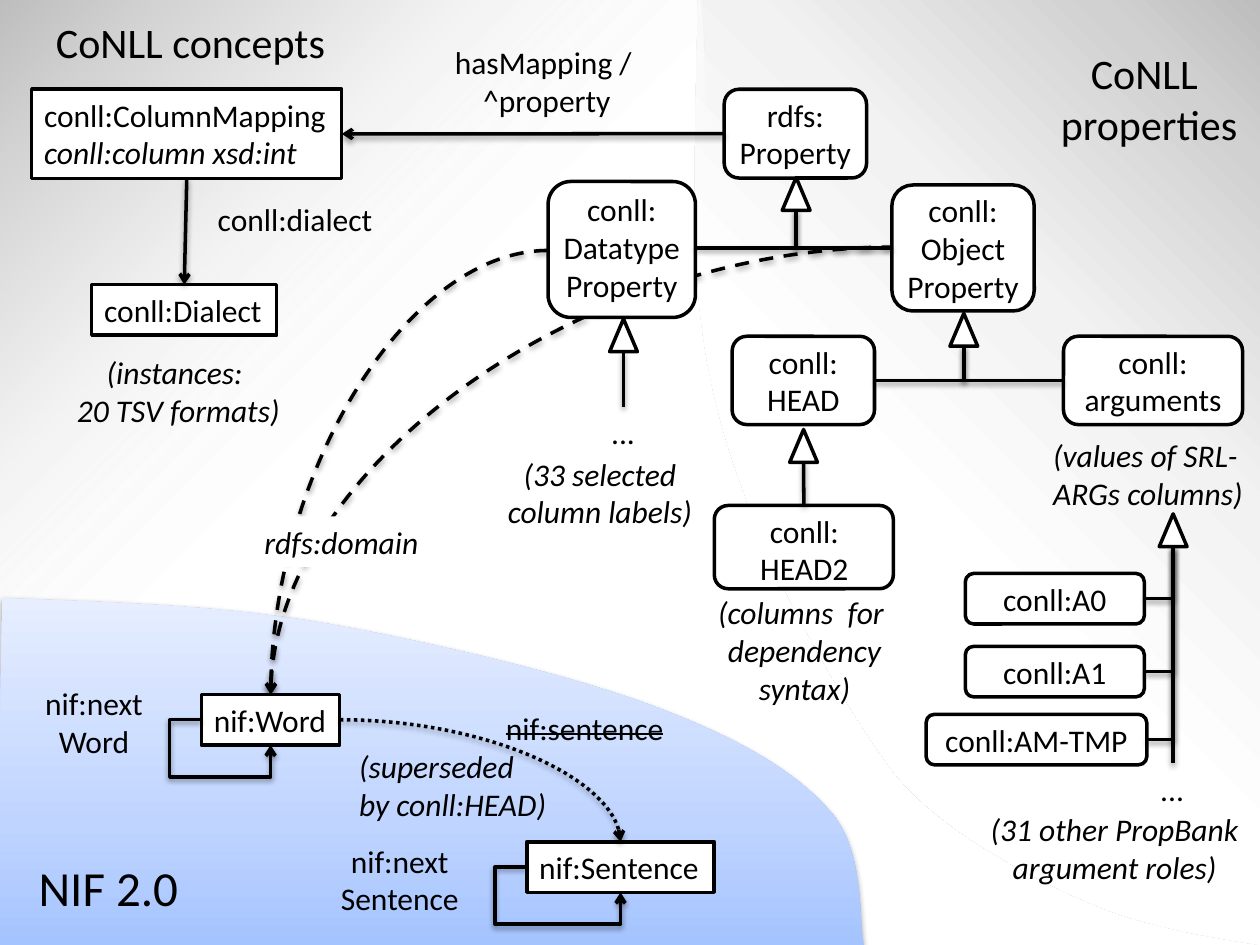
from dataclasses import dataclass

from lxml import etree
from pptx import Presentation
from pptx.dml.color import RGBColor
from pptx.enum.dml import MSO_LINE
from pptx.enum.shapes import MSO_CONNECTOR, MSO_SHAPE
from pptx.enum.text import MSO_ANCHOR, PP_ALIGN
from pptx.oxml.ns import qn
from pptx.util import Cm, Pt

BLACK, WHITE = RGBColor(0, 0, 0), RGBColor(255, 255, 255)
GREYS = [(0, RGBColor(0xBD, 0xBD, 0xBD), 100), (11, RGBColor(0xD1, 0xD1, 0xD1), 100),
         (34, RGBColor(0xF2, 0xF2, 0xF2), 100)]
BLUES = [(0, RGBColor(0xA4, 0xC4, 0xFF), 100), (35, RGBColor(0xBF, 0xD4, 0xFF), 100),
         (100, RGBColor(0xE6, 0xEE, 0xFF), 100)]
RECT, ROUNDED, TRIANGLE = MSO_SHAPE.RECTANGLE, MSO_SHAPE.ROUNDED_RECTANGLE, MSO_SHAPE.ISOSCELES_TRIANGLE
STRAIGHT, ELBOW, CURVE = MSO_CONNECTOR.STRAIGHT, MSO_CONNECTOR.ELBOW, MSO_CONNECTOR.CURVE
DASH, DOTS = MSO_LINE.DASH, MSO_LINE.ROUND_DOT
TOP = MSO_ANCHOR.TOP
LEFT, CENTER = PP_ALIGN.LEFT, PP_ALIGN.CENTER
TOP_SIDE, LEFT_SIDE, BOTTOM_SIDE, RIGHT_SIDE = range(4)
WIDTH, HEIGHT = 25.4, 19.05
ROW = 1.02  # height of a box with one line of text
TIP_W, TIP_H = 0.56, 0.66  # inheritance triangle
REACH = 0.64  # how far a self loop stands out
INSET = 0.13  # space above the first line
ROUNDING = 0.05  # inset of a rounded box's text, as a share of its height


@dataclass
class Area:
    shapes: object
    left: float
    top: float

    def place(self, x, y):
        return Cm(self.left + x), Cm(self.top + y)


def side(shape, index):
    """Middle of one side of a shape: 0 top, 1 left, 2 bottom, 3 right."""
    across, down = ((1, 0), (0, 1), (1, 2), (2, 1))[index]
    return shape.left + shape.width * across // 2, shape.top + shape.height * down // 2


def write(shape, lines, size=18, align=CENTER, italic=False):
    frame = shape.text_frame
    frame.word_wrap = False
    frame.vertical_anchor = TOP
    for number, line in enumerate(lines):
        para = frame.paragraphs[0] if number == 0 else frame.add_paragraph()
        para.add_run().text = line
        para.alignment = align
        para.font.name, para.font.size = "Calibri", Pt(size)
        para.font.color.rgb, para.font.italic = BLACK, italic
    return frame


def label(area, x, y, w, h, *lines, **style):
    box = area.shapes.add_textbox(*area.place(x, y), Cm(w), Cm(h))
    write(box, lines, **style)
    return box


def node(area, x, y, w, h, *lines, kind=ROUNDED, drop=0):
    box = area.shapes.add_shape(kind, *area.place(x, y), Cm(w), Cm(h))
    box.shadow.inherit = False
    box.fill.solid()
    box.fill.fore_color.rgb = WHITE
    box.line.color.rgb, box.line.width = BLACK, Pt(2)
    if lines:
        frame = write(box, lines, align=LEFT if kind == RECT else CENTER)
        frame.margin_top = Cm(INSET + drop - (ROUNDING * h if kind == ROUNDED else 0))
        frame.margin_bottom = 0
    return box


def tip(area, center, top):
    return node(area, center - TIP_W / 2, top, TIP_W, TIP_H, kind=TRIANGLE)


def add_shadow(props):
    for old in props.findall(qn("a:effectLst")):
        props.remove(old)
    effects = etree.SubElement(props, qn("a:effectLst"))
    shadow = etree.SubElement(effects, qn("a:outerShdw"), blurRad="40000", dist="20000",
                              dir="5400000", rotWithShape="0")
    color = etree.SubElement(shadow, qn("a:srgbClr"), val=str(BLACK))
    etree.SubElement(color, qn("a:alpha"), val="38000")


def connect(shapes, start, end, kind=STRAIGHT, preset=None, adjust=(), dash=None, arrow=False):
    line = shapes.add_connector(kind, *start, *end)
    line.line.color.rgb, line.line.width = BLACK, Pt(2)
    if dash:
        line.line.dash_style = dash
    props = line._element.spPr
    if arrow:
        etree.SubElement(props.find(qn("a:ln")), qn("a:tailEnd"), type="arrow")
    if preset:
        geometry = props.find(qn("a:prstGeom"))
        geometry.set("prst", preset)
        for number, value in enumerate(adjust, 1):
            etree.SubElement(geometry.find(qn("a:avLst")), qn("a:gd"), name=f"adj{number}",
                             fmla=f"val {round(value * 100000)}")
    add_shadow(props)
    return line


def join(shapes, first, first_side, last, last_side):
    line = connect(shapes, side(first, first_side), side(last, last_side), arrow=True)
    line.begin_connect(first, first_side)
    line.end_connect(last, last_side)


def corner(shapes, start, end):
    connect(shapes, start, end, ELBOW, "bentConnector2")


def swing(shapes, start, end, dash):
    connect(shapes, start, end, CURVE, "curvedConnector2", dash=dash, arrow=True)


def self_loop(shapes, box):
    adjust = -Cm(REACH) / (box.width / 2), 1 + Cm(REACH) / (box.height / 2)
    connect(shapes, side(box, LEFT_SIDE), side(box, BOTTOM_SIDE), ELBOW, "bentConnector4", adjust, arrow=True)


def curved_field(area, start, curves, corners, stops, angle):
    """Gradient surface with an edge of Bézier curves, closed through the given corners."""
    builder = area.shapes.build_freeform(*area.place(*start))
    builder.add_line_segments([area.place(*point) for point in [c[-1] for c in curves] + corners])
    field = builder.convert_to_shape()
    # Turn the leading straight segments into curves
    segments = list(field._element.iter(qn("a:lnTo")))
    for segment, curve in zip(segments, curves):
        segment.tag = qn("a:cubicBezTo")
        segment.clear()
        for point in curve:
            x, y = area.place(*point)
            etree.SubElement(segment, qn("a:pt"), x=str(x - field.left), y=str(y - field.top))
    field.shadow.inherit = False
    field.line.fill.background()
    field.fill.gradient()
    field.fill.gradient_angle = angle
    listing = field._element.spPr.find(qn("a:gradFill")).find(qn("a:gsLst"))
    listing.clear()
    for position, color, alpha in stops:
        stop = etree.SubElement(listing, qn("a:gs"), pos=str(position * 1000))
        tone = etree.SubElement(stop, qn("a:srgbClr"), val=str(color))
        if alpha < 100:
            etree.SubElement(tone, qn("a:alpha"), val=str(alpha * 1000))
    return field


def backdrop(area):
    # Properties, concepts and NIF surfaces
    curved_field(area, (14.07, 0), [
        ((14.02, 2.26), (13.94, 4.57), (14.12, 6.35)), ((14.33, 8.13), (14.73, 9.22), (15.24, 10.59)),
        ((15.77, 11.94), (16.66, 13.49), (17.27, 14.48)), ((17.91, 15.47), (18.19, 15.88), (19, 16.51)),
        ((19.79, 17.15), (21.13, 17.86), (22.1, 18.26)), ((23.09, 18.67), (24.28, 18.87), (WIDTH, HEIGHT)),
    ], [(WIDTH, 0)], GREYS + [(57, WHITE, 100)], 225)
    curved_field(area, (14.1, 0), [
        ((14.2, 1.55), (14.27, 3.15), (14.05, 4.37)), ((13.79, 5.61), (13.31, 6.38), (12.65, 7.32)),
        ((11.99, 8.26), (10.9, 9.32), (10.11, 10.01)), ((9.35, 10.69), (8.99, 10.97), (7.98, 11.43)),
        ((6.96, 11.89), (5.31, 12.34), (4.09, 12.62)), ((2.87, 12.93), (1.35, 13.06), (0, 13.13)),
    ], [(0, 0)], GREYS + [(55, WHITE, 50), (67, WHITE, 0)], 315)
    lower = curved_field(area, (0.05, 12.06), [
        ((2.16, 12.14), (4.27, 12.19), (6.45, 12.55)), ((8.64, 12.93), (11.43, 13.59), (13.13, 14.22)),
        ((14.86, 14.86), (16.03, 15.54), (16.74, 16.36)), ((17.45, 17.15), (17.3, 18.62), (17.42, HEIGHT)),
    ], [(-0.08, HEIGHT)], BLUES, 90)
    add_shadow(lower._element.spPr)
    # Domain arrows, which run behind the boxes
    for start in ((11.05, 5.05), (18.06, 4.98)):
        swing(area.shapes, area.place(*start), area.place(5.46, 14), DASH)


def concepts(area):
    label(area, 0, 0, 6.4, 1.27, "CoNLL concepts", size=24)
    mapping = node(area, 0, 1.6, 6.25, 1.8, "conll:ColumnMapping", "conll:column xsd:int", kind=RECT)
    mapping.text_frame.paragraphs[1].font.italic = True
    dialect = node(area, 1.21, 5.54, 3.73, ROW, "conll:Dialect", kind=RECT)
    join(area.shapes, mapping, BOTTOM_SIDE, dialect, TOP_SIDE)
    label(area, 3.5, 3.71, 3.66, ROW, "conll:dialect", align=LEFT)
    label(area, 0.63, 6.79, 4.65, 1.8, "(instances: ", "20 TSV formats)", italic=True)
    return mapping


def property_types(area):
    label(area, 11.15, 0, 4.11, 2.31, "CoNLL ", "properties", size=24)
    root = node(area, 4.64, 0.96, 2.87, 1.79, "rdfs:", "Property")
    datatype = node(area, 1.09, 2.82, 2.97, 2.74, "conll:", "Datatype", "Property", drop=0.05)
    objects = node(area, 8.02, 2.89, 2.87, 2.54, "conll:", "Object", "Property")
    # Inheritance
    fork = side(tip(area, 6.09, 2.74), BOTTOM_SIDE)
    start = side(objects, LEFT_SIDE)
    corner(area.shapes, (datatype.left + datatype.width, start[1]), fork)
    corner(area.shapes, start, fork)
    connect(area.shapes, side(tip(area, 2.61, 5.59), BOTTOM_SIDE), area.place(2.61, 7.36))
    label(area, 2.11, 7.36, 0.99, ROW, "...", align=LEFT)
    label(area, 0, 8.2, 4.27, 1.8, "(33 selected", "column labels)", italic=True)
    return root, side(tip(area, 9.47, 5.48), BOTTOM_SIDE)


def dependency(area):
    head = node(area, 0.56, 0, 2.87, 1.78, "conll:", "HEAD")
    second = node(area, 0.2, 3.41, 3.61, 1.68)
    label(area, 0.86, 3.41, 2.31, 2.92, "conll:", "HEAD2")
    line = connect(area.shapes, side(tip(area, 2, 1.88), BOTTOM_SIDE), side(second, TOP_SIDE))
    line.end_connect(second, TOP_SIDE)
    label(area, 0, 5.06, 4.04, 2.57, "(columns  for ", "dependency", "syntax)", italic=True)
    return head


def argument_roles(area):
    arguments = node(area, 2.77, 0, 3.61, 1.78, "conll:", "arguments")
    label(area, 2.31, 1.88, 4.37, 1.8, "(values of SRL-", "ARGs columns)", align=LEFT, italic=True)
    trunk = side(tip(area, 4.98, 3.58), BOTTOM_SIDE)
    for x, y, w, name in ((0.79, 4.78, 3.61, "A0"), (0.79, 6.25, 3.61, "A1"), (0, 7.62, 4.45, "AM-TMP")):
        role = node(area, x, y, w, ROW, f"conll:{name}")
        corner(area.shapes, side(role, RIGHT_SIDE), trunk)
    connect(area.shapes, trunk, area.place(4.98, 8.61))
    label(area, 4.47, 8.61, 0.99, ROW, "...", align=LEFT)
    label(area, 1.02, 9.42, 5.56, 1.8, "(31 other PropBank", "argument roles)", italic=True)
    return arguments


def nif(area):
    word = node(area, 3.56, 0.4, 2.79, ROW, "nif:Word", kind=RECT)
    sentence = node(area, 10.12, 3.37, 3.78, ROW, "nif:Sentence", kind=RECT)
    for box in (word, sentence):
        self_loop(area.shapes, box)
    label(area, 0.14, 0.07, 2.51, 1.8, "nif:next", "Word")
    label(area, 6.1, 3.24, 2.92, 1.8, "nif:next", "Sentence")
    label(area, 0.03, 3.57, 3.35, 1.45, "NIF 2.0", size=28, align=LEFT)
    # Superseded link, struck out and indented
    note = label(area, 6.49, 0.57, 6.88, 2.57, "nif:sentence", "(superseded", "by conll:HEAD)",
                 align=LEFT, italic=True)
    struck = note.text_frame.paragraphs[0]
    struck.font.italic = False
    struck._p.get_or_add_pPr().set("marL", str(Cm(2.96)))
    struck.runs[0]._r.get_or_add_rPr().set("strike", "sngStrike")
    swing(area.shapes, side(word, RIGHT_SIDE), side(sentence, TOP_SIDE), DOTS)


def main():
    deck = Presentation()
    deck.slide_width, deck.slide_height = Cm(WIDTH), Cm(HEIGHT)
    shapes = deck.slides.add_slide(deck.slide_layouts[6]).shapes
    whole = Area(shapes, 0, 0)
    backdrop(whole)
    mapping = concepts(Area(shapes, 0.64, 0.2))
    root, fork = property_types(Area(shapes, 9.96, 0.84))
    head = dependency(Area(shapes, 14.2, 6.78))
    arguments = argument_roles(Area(shapes, 18.67, 6.78))
    nif(Area(shapes, 0.5, 13.6))
    # Links between regions
    corner(shapes, side(head, RIGHT_SIDE), fork)
    corner(shapes, side(arguments, LEFT_SIDE), fork)
    join(shapes, root, LEFT_SIDE, mapping, RIGHT_SIDE)
    label(whole, 8.89, 0.74, 4.27, 1.8, "hasMapping / ", "^property")
    domain = label(whole, 5.08, 10.41, 3.66, ROW, "rdfs:domain", align=LEFT, italic=True)
    domain.fill.solid()
    domain.fill.fore_color.rgb = WHITE
    deck.save("out.pptx")


if __name__ == "__main__":
    main()
